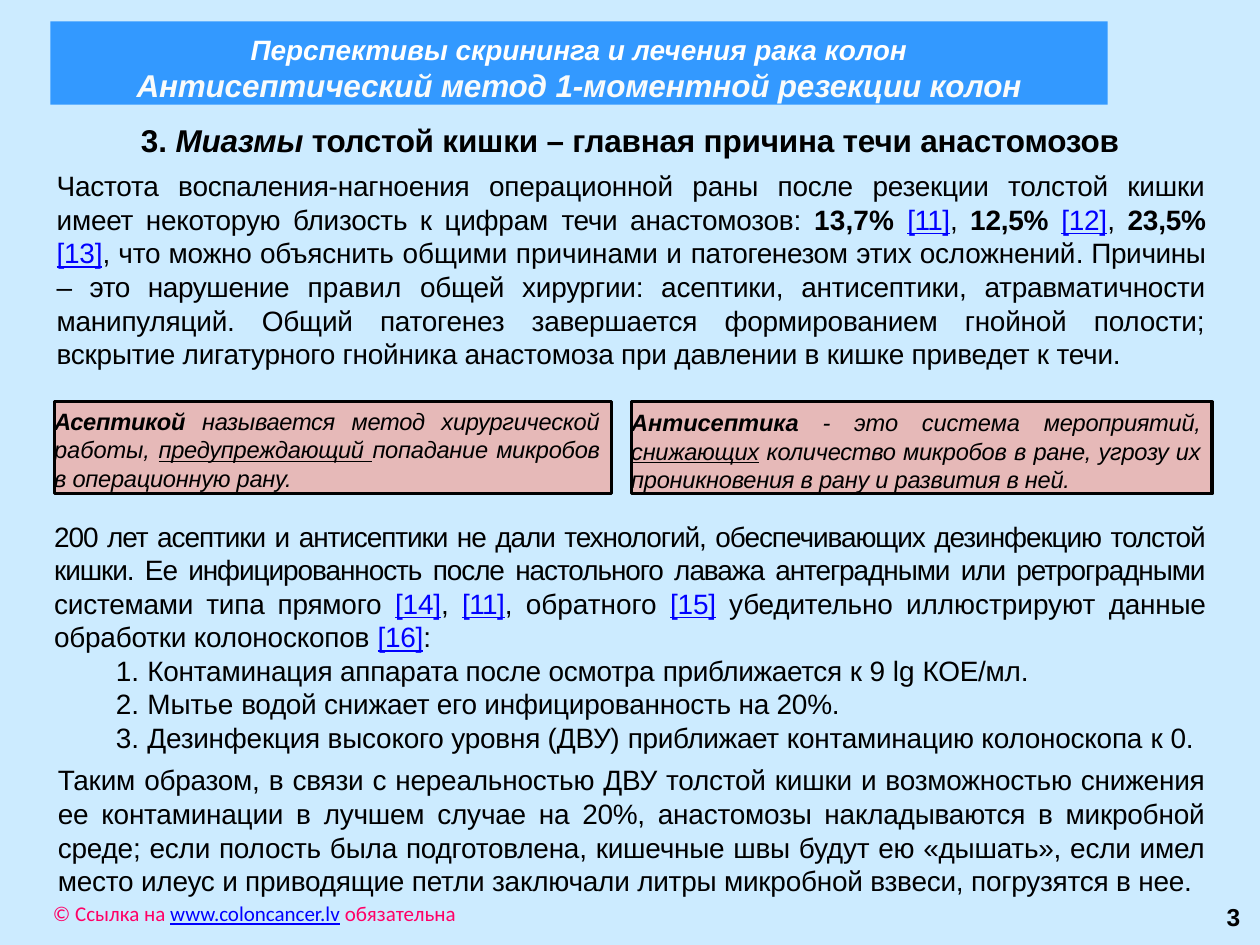
from lxml.etree import SubElement
from pptx import Presentation
from pptx.dml.color import RGBColor
from pptx.enum.shapes import MSO_SHAPE
from pptx.enum.text import MSO_ANCHOR, MSO_AUTO_SIZE, PP_ALIGN
from pptx.oxml.ns import qn
from pptx.util import Inches, Pt

SKY = RGBColor(0xCC, 0xEB, 0xFF)
BANNER_BLUE = RGBColor(0x33, 0x99, 0xFF)
ROSE = RGBColor(0xE6, 0xB9, 0xB8)
BLACK = RGBColor(0, 0, 0)
WHITE = RGBColor(0xFF, 0xFF, 0xFF)
OFF_WHITE = RGBColor(0xF9, 0xFB, 0xFB)
LINK_BLUE = RGBColor(0, 0, 0xFF)
PINK = RGBColor(0xFF, 0, 0x66)

# A run is (text, letter spacing in points, marks):
# b bold, i italic, u underlined, l link colour with underline
BANNER = [
    ([("Перспективы скрининга и лечения рака колон", 0, "bi")], 16, WHITE),
    ([("Антисептический метод 1-моментной резекции колон", -0.1, "bi")], 18, OFF_WHITE),
]
HEADING = [
    ("3. ", -0.1, "b"), ("Миазмы ", -0.1, "bi"), ("толстой ", -0.2, "b"),
    ("кишки – главная причина течи анастомозов", -0.1, "b"),
]
INTRO = [
    ("Частота воспаления-нагноения операционной раны после резекции толстой кишки "
     "имеет некоторую близость к цифрам ", -0.1, ""),
    ("течи ", -0.2, ""), ("анастомозов: ", -0.1, ""),
    ("13,7% ", 0.1, "b"), ("[11]", -0.3, "l"), (", ", -0.3, ""),
    ("12,5% ", -0.1, "b"), ("[12]", -0.1, "l"), (", ", -0.1, ""),
    ("23,5% ", -0.1, "b"), ("[13]", -0.1, "l"),
    (", что можно объяснить ", -0.1, ""), ("общими причинами и ", 0, ""),
    ("патогенезом ", -0.2, ""), ("этих осложнений", -0.1, ""),
    (". Причины – это нарушение ", -0.2, ""), ("правил ", 0.1, ""),
    ("общей хирургии: асептики, антисептики, атравматичности манипуляций. "
     "Общий патогенез завершается формированием гнойной полости; вскрытие "
     "лигатурного гнойника анастомоза при давлении в кишке приведет к течи.", -0.1, ""),
]
# left, width, top inset, runs
DEFINITIONS = [
    (0.43, 4.42, 0.04, [
        ("Асептикой ", -0.1, "bi"), ("называется метод хирургической ", -0.1, "i"),
        ("работы, ", 0, "i"), ("предупреждающий ", -0.1, "iu"),
        ("попадание микробов в операционную рану.", -0.1, "i"),
    ]),
    (5.01, 4.61, 0.05, [
        ("Антисептика ", 0, "bi"), ("- это система ", 0, "i"),
        ("мероприятий, ", -0.1, "i"), ("снижающих", -0.1, "iu"),
        (" количество микробов в ране, угрозу их проникновения "
         "в рану и развития в ней.", -0.1, "i"),
    ]),
]
EVIDENCE = [
    ("200 лет асептики и антисептики не дали технологий, обеспечивающих дезинфекцию "
     "толстой кишки. Ее инфицированность после настольного лаважа антеградными "
     "или ретроградными ", -0.6, ""),
    ("системами типа прямого ", -0.1, ""), ("[14]", -0.1, "l"), (", ", -0.1, ""),
    ("[11]", -0.3, "l"), (", обратного ", 0, ""), ("[15]", -0.1, "l"),
    (" убедительно ", -0.1, ""), ("иллюстрируют ", 0, ""),
    ("данные обработки колоноскопов ", -0.1, ""), ("[16]", -0.1, "l"), (":", -0.1, ""),
]
FINDINGS = [
    [("Контаминация аппарата после осмотра ", -0.1, ""), ("приближается ", -0.2, ""),
     ("к 9 lg ", 0, ""), ("КОЕ/мл.", -0.1, "")],
    [("Мытье ", 0, ""), ("водой ", -0.2, ""),
     ("снижает его инфицированность на 20%.", -0.1, "")],
    [("Дезинфекция высокого уровня (ДВУ) ", -0.1, ""), ("приближает ", -0.2, ""),
     ("контаминацию колоноскопа ", -0.1, ""), ("к ", 0, ""), ("0.", -0.1, "")],
]
CONCLUSION = [
    ("Таким образом, в связи с нереальностью ДВУ толстой кишки и возможностью снижения "
     "ее контаминации в лучшем случае на 20%, анастомозы накладываются в микробной "
     "среде; если полость была подготовлена, кишечные швы будут ею «дышать», если имел "
     "место илеус и приводящие петли заключали литры микробной взвеси, погрузятся "
     "в нее.", -0.1, ""),
]
COPYRIGHT = [("© Ссылка на ", 0, ""), ("www.coloncancer.lv", 0, "l"), (" обязательна", 0, "")]


def prepare_frame(shape, insets):
    frame = shape.text_frame
    frame.word_wrap = True
    frame.auto_size = MSO_AUTO_SIZE.NONE
    frame.vertical_anchor = MSO_ANCHOR.TOP
    (frame.margin_left, frame.margin_top,
     frame.margin_right, frame.margin_bottom) = map(Inches, insets)
    return frame


def place(shape, left, top, width, height):
    shape.left, shape.top = Inches(left), Inches(top)
    shape.width, shape.height = Inches(width), Inches(height)


def write(paragraph, runs, size=16, color=BLACK, font="Arial",
          align=PP_ALIGN.JUSTIFY, left=0, hanging=0, before=0, numbered=False):
    properties = paragraph._p.get_or_add_pPr()
    properties.set("marL", str(Inches(left)))
    properties.set("indent", str(-Inches(hanging)))
    if numbered:
        SubElement(properties, qn("a:buFont"), typeface=font)
        SubElement(properties, qn("a:buAutoNum"), type="arabicPeriod")
    paragraph.alignment = align
    paragraph.space_before = Pt(before)
    for text, spacing, marks in runs:
        run = paragraph.add_run()
        run.text = text
        run.font.name, run.font.size = font, Pt(size)
        run.font.bold, run.font.italic = "b" in marks, "i" in marks
        run.font.underline = "u" in marks or "l" in marks
        run.font.color.rgb = LINK_BLUE if "l" in marks else color
        if spacing:
            run._r.get_or_add_rPr().set("spc", str(round(spacing * 100)))


def add_text(slide, box, insets):
    return prepare_frame(slide.shapes.add_textbox(*map(Inches, box)), insets)


def main():
    deck = Presentation()
    deck.slide_width, deck.slide_height = Inches(10), Inches(7.5)
    slide = deck.slides.add_slide(deck.slide_layouts[5])
    slide.background.fill.solid()
    slide.background.fill.fore_color.rgb = SKY

    banner = slide.shapes.title
    place(banner, 0.4, 0.17, 8.39, 0.66)
    banner.fill.solid()
    banner.fill.fore_color.rgb = BANNER_BLUE
    frame = prepare_frame(banner, (0, 0.01, 0, 0))
    for index, (runs, size, color) in enumerate(BANNER):
        paragraph = frame.add_paragraph() if index else frame.paragraphs[0]
        write(paragraph, runs, size, color, align=PP_ALIGN.CENTER)
    frame.paragraphs[0].line_spacing = Pt(25)

    heading = add_text(slide, (0, 0.91, 10, 0.4), (0.1, 0.05, 0.1, 0.05))
    write(heading.paragraphs[0], HEADING, 18, align=PP_ALIGN.CENTER)

    intro = add_text(slide, (0.44, 1.33, 9.13, 1.63), (0, 0.01, 0, 0))
    write(intro.paragraphs[0], INTRO, left=0.01)

    for left, width, top_inset, runs in DEFINITIONS:
        card = slide.shapes.add_shape(MSO_SHAPE.RECTANGLE, 0, 0, 0, 0)
        place(card, left, 3.19, width, 0.73)
        card.shadow.inherit = False
        card.fill.solid()
        card.fill.fore_color.rgb = ROSE
        card.line.color.rgb = BLACK
        card.line.width = Pt(1.75)
        frame = prepare_frame(card, (0, top_inset, 0.09, 0))
        write(frame.paragraphs[0], runs, 13.5)

    evidence = add_text(slide, (0.4, 3.97, 9.17, 3.2), (0, 0.15, 0, 0))
    write(evidence.paragraphs[0], EVIDENCE, left=0.03)
    for runs in FINDINGS:
        write(evidence.add_paragraph(), runs, align=PP_ALIGN.LEFT,
              left=0.77, hanging=0.25, numbered=True)
    write(evidence.add_paragraph(), CONCLUSION, left=0.06, before=5)

    copyright_line = add_text(slide, (0.42, 7.1, 3.92, 0.3), (0, 0.05, 0.1, 0.05))
    write(copyright_line.paragraphs[0], COPYRIGHT, 12, PINK, "Calibri", PP_ALIGN.LEFT)

    page_number = add_text(slide, (9.64, 7.15, 0.27, 0.24), (0, 0.01, 0, 0))
    write(page_number.paragraphs[0], [("3", 0, "b")], 14, align=PP_ALIGN.CENTER, left=0.03)

    deck.save("out.pptx")


if __name__ == "__main__":
    main()
